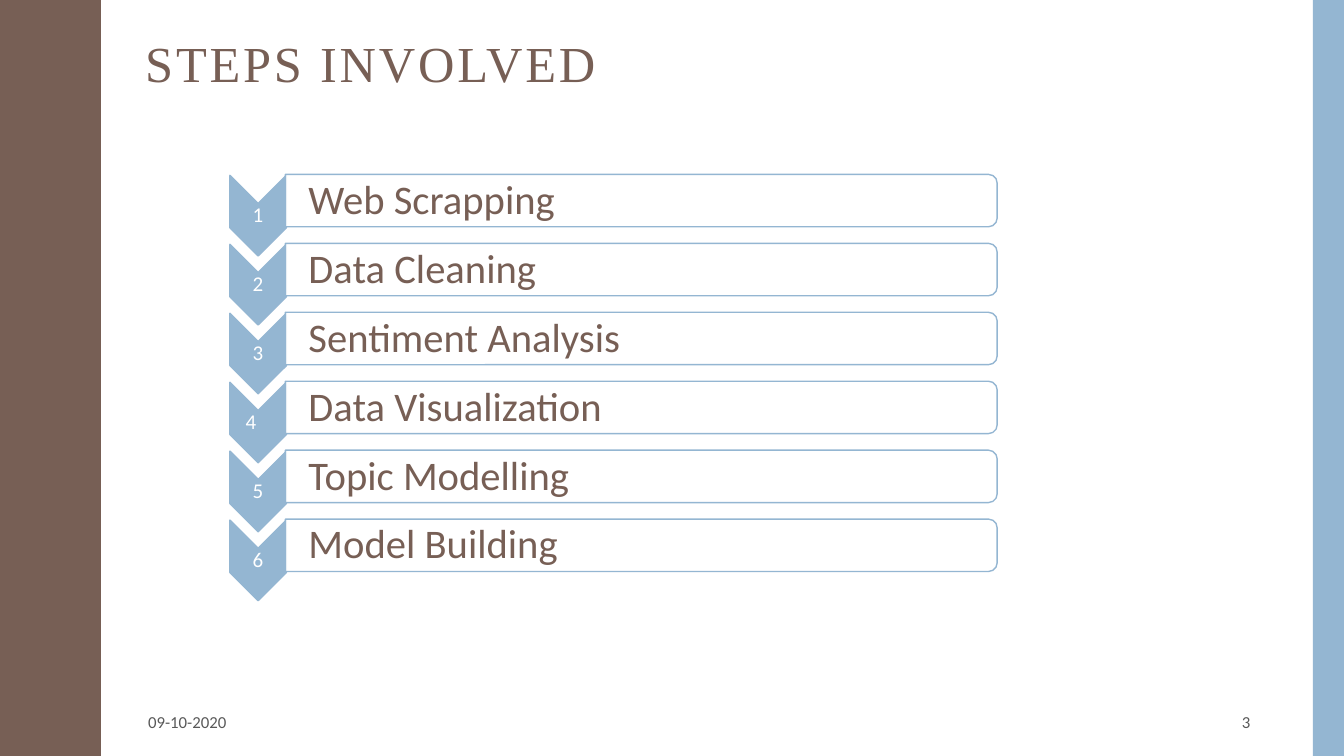
from pptx import Presentation
from pptx import util as u
from pptx.dml.color import RGBColor
from pptx.enum import shapes, text
from lxml import etree

TITLE = "STEPS INVOLVED"
STEPS = ["Web Scrapping", "Data Cleaning", "Sentiment Analysis",
         "Data Visualization", "Topic Modelling", "Model Building"]
DATE, PAGE = "09-10-2020", "3"
NUMBER_RIGHT_INSETS = {4: 0.15}

THEME = dict(brown="775F55", blue="94B6D2", white="FFFFFF", grey="595959",
             body="Calibri", heading="Times New Roman",
             title=36, step=29, number=15, footer=12)

SLIDE_W, SLIDE_H = 13.33, 7.5
FIRST_TOP, LAST_TOP = 1.86, 5.28
PITCH = (LAST_TOP - FIRST_TOP) / (len(STEPS) - 1)
WAVE_PERIOD = 1.5
HALF_WAVE = [(0.78, 0), (0.78, 0.07), (0.79, 0.14), (0.8, 0.2), (0.81, 0.25),
             (0.83, 0.29), (0.85, 0.33), (0.87, 0.38), (0.89, 0.42),
             (0.91, 0.46), (0.93, 0.5), (0.95, 0.55), (0.96, 0.61),
             (0.97, 0.68), (0.97, 0.75)]


def color(name):
    return RGBColor.from_string(THEME[name])


def box(at):
    return [u.Inches(v) for v in at]


def apply(obj, values):
    for name, value in values.items():
        setattr(obj, name, value)


def paint(sp, fill, line=None):
    sp.shadow.inherit = False
    sp.fill.solid()
    sp.fill.fore_color.rgb = color(fill)
    if line:
        sp.line.color.rgb = color(line)
        sp.line.width = u.Pt(1)
    else:
        sp.line.fill.background()


def add_preset(parent, kind, at, fill, line=None, rotation=0):
    sp = parent.add_shape(kind, *box(at))
    sp.rotation = rotation
    paint(sp, fill, line)
    return sp


def write(sp, words, size, ink, font="body", align="LEFT", anchor="MIDDLE",
          insets=(0.1, 0.05, 0.1, 0.05), spacing=1.0):
    tf = sp.text_frame
    apply(tf, dict(word_wrap=True, auto_size=text.MSO_AUTO_SIZE.NONE,
                   vertical_anchor=text.MSO_ANCHOR[anchor]))
    sides = ("margin_left", "margin_top", "margin_right", "margin_bottom")
    apply(tf, dict(zip(sides, box(insets))))
    p = tf.paragraphs[0]
    apply(p, dict(alignment=text.PP_ALIGN[align], line_spacing=spacing))
    r = p.add_run()
    r.text = words
    apply(r.font, dict(size=u.Pt(THEME[size]), name=THEME[font], bold=False))
    r.font.color.rgb = color(ink)
    return r


def add_wave(s):
    crest = HALF_WAVE + [(x, WAVE_PERIOD - y) for x, y in HALF_WAVE[-2::-1]]
    edge = [(x, y + i * WAVE_PERIOD)
            for i in range(round(SLIDE_H / WAVE_PERIOD)) for x, y in crest]
    fb = s.shapes.build_freeform(0, 0, scale=u.Inches(1))
    fb.add_line_segments(edge + [(0, SLIDE_H)], close=True)
    paint(fb.convert_to_shape(), "brown")


def add_step(group, number, label):
    top = FIRST_TOP + (number - 1) * PITCH
    add_preset(group, shapes.MSO_SHAPE.CHEVRON, (2.16, top, 0.8, 0.56),
               "blue", "blue", 90)
    sp = group.add_textbox(*box((2.28, top + 0.16, 0.56, 0.24)))
    right = NUMBER_RIGHT_INSETS.get(number, 0.01)
    write(sp, str(number), "number", "white", align="CENTER",
          insets=(0.01, 0.01, right, 0.01), spacing=0.9)
    card = add_preset(group, shapes.MSO_SHAPE.ROUND_2_SAME_RECTANGLE,
                      (6.1, top - 3.4, 0.52, 7.06), "white", "blue", 90)
    tint = card.fill._xPr.find(".//{*}srgbClr")
    etree.SubElement(tint, tint.tag.replace("srgbClr", "alpha"), val="90000")
    sp = group.add_textbox(*box((2.83, top - 0.1, 7.04, 0.47)))
    write(sp, label, "step", "brown", insets=(0.23, 0.02, 0.02, 0.02),
          spacing=0.9)


def main():
    prs = Presentation()
    apply(prs, dict(slide_width=u.Inches(SLIDE_W),
                    slide_height=u.Inches(SLIDE_H)))
    s = prs.slides.add_slide(prs.slide_layouts[5])
    add_wave(s)
    add_preset(s.shapes, shapes.MSO_SHAPE.RECTANGLE,
               (13.02, 0, 0.31, SLIDE_H), "blue")

    for words, at, align in [(DATE, (1.37, 6.97, 2.55, 0.38), "LEFT"),
                             (PAGE, (9.42, 6.97, 3.08, 0.38), "RIGHT")]:
        write(s.shapes.add_textbox(*box(at)), words, "footer", "grey",
              align=align)

    title = s.shapes.title
    apply(title, dict(zip(("left", "top", "width", "height"),
                          box((1.34, 0.34, 11.13, 1.63)))))
    r = write(title, TITLE, "title", "brown", font="heading", anchor="TOP",
              spacing=0.9)
    r.font._element.set("spc", "200")

    group = s.shapes.add_group_shape().shapes
    for number, label in enumerate(STEPS, 1):
        add_step(group, number, label)
    prs.save("out.pptx")


if __name__ == "__main__":
    main()
